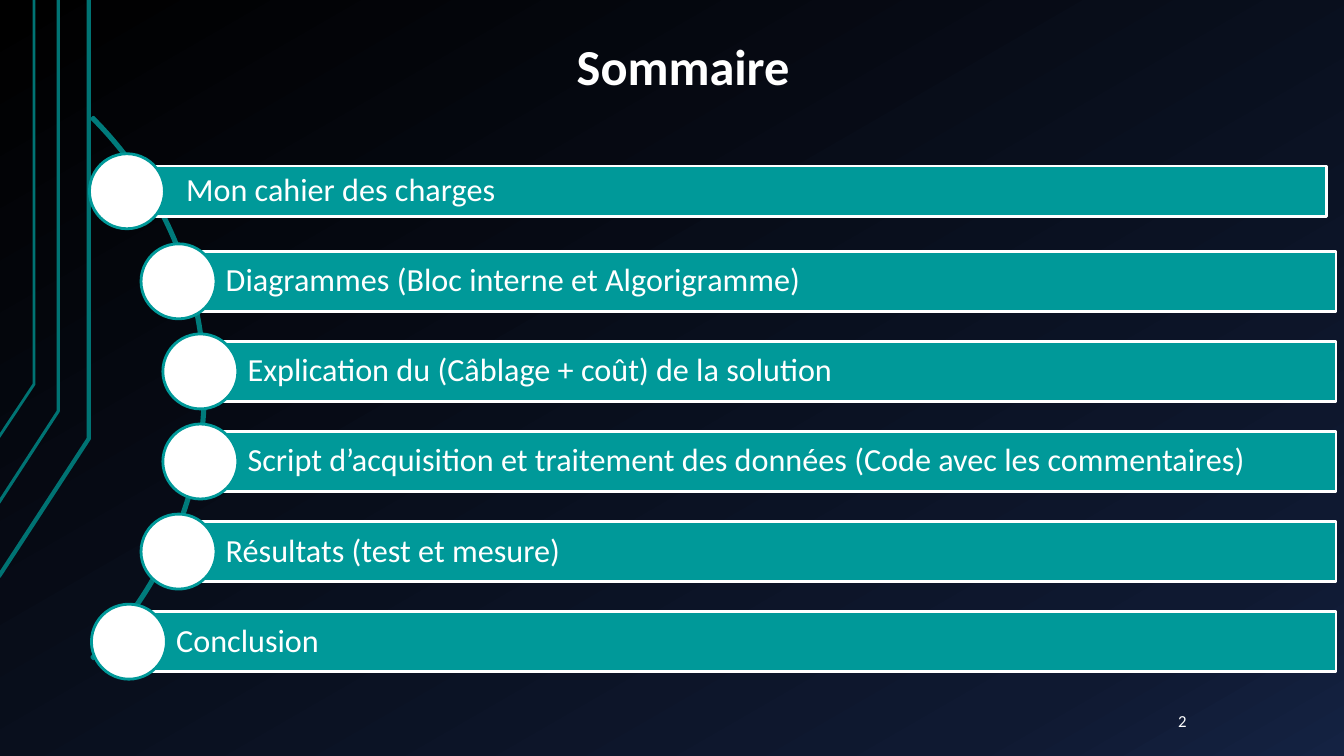
import copy

import pptx
import pptx.dml.color
import pptx.enum.shapes
import pptx.enum.text
import pptx.util

Cm, Pt = pptx.util.Cm, pptx.util.Pt
RGBColor = pptx.dml.color.RGBColor
MSO_SHAPE = pptx.enum.shapes.MSO_SHAPE
MSO_ANCHOR = pptx.enum.text.MSO_ANCHOR
PP_ALIGN = pptx.enum.text.PP_ALIGN

WHITE = RGBColor(0xFF, 0xFF, 0xFF)
TEAL = RGBColor(0x00, 0x99, 0x99)
ARC_TEAL = RGBColor(0x00, 0x7B, 0x7B)
TRACE_TEAL = RGBColor(0x00, 0x73, 0x73)
BACKGROUND = [(0, RGBColor(0, 0, 0)),
              (0.85, RGBColor(0x0F, 0x19, 0x31)),
              (1, RGBColor(0x14, 0x22, 0x42))]

# Circuit traces: x, bottom y at the slide edge, y of the bend, line width
TRACES = [(2.24, 14.53, 11.05, 3), (1.47, 12.67, 10.36, 2.25), (0.86, 11.02, 9.68, 2)]

# Chapters: text, disc centre x, bar left, bar right, bar height
RIGHT, BAR_H = 33.67, 1.51
CHAPTERS = [
    ("Mon cahier des charges", 3.2, 3.5, 33.43, 1.27),
    ("Diagrammes (Bloc interne et Algorigramme)", 4.5, 4.5, RIGHT, BAR_H),
    ("Explication du (Câblage + coût) de la solution", 5.05, 5.05, RIGHT, BAR_H),
    ("Script d’acquisition et traitement des données (Code avec les commentaires)",
     5.05, 5.05, RIGHT, BAR_H),
    ("Résultats (test et mesure)", 4.5, 4.5, RIGHT, BAR_H),
    ("Conclusion", 3.25, 3.25, RIGHT, BAR_H),
]
FIRST_Y, PITCH, DISC = 4.82, 2.27, 1.89


class Deck:
    """Holds the text style and the current slide; lengths are in centimetres."""

    font = "Calibri"
    color = WHITE

    def __init__(self, prs):
        self.s = prs.slides.add_slide(prs.slide_layouts[5])

    def background(self, stops, angle):
        fill = self.s.background.fill
        fill.gradient()
        fill.gradient_angle = angle
        gs_list = fill.gradient_stops[0]._gs.getparent()
        while len(gs_list) < len(stops):
            gs_list.append(copy.deepcopy(gs_list[0]))
        for stop, (position, color) in zip(fill.gradient_stops, stops):
            stop.position = position
            stop.color.rgb = color

    def set_text(self, sp, text, size, align=PP_ALIGN.LEFT, anchor=MSO_ANCHOR.MIDDLE,
                 bold=False, insets=(0.33, 0.18, 0.33, 0.18), spacing=0.9):
        tf = sp.text_frame
        tf.word_wrap = True
        tf.auto_size = pptx.enum.text.MSO_AUTO_SIZE.NONE
        tf.vertical_anchor = anchor
        tf.margin_left, tf.margin_top, tf.margin_right, tf.margin_bottom = map(Cm, insets)
        p = tf.paragraphs[0]
        p.text = text
        p.alignment = align
        p.line_spacing = spacing
        p.font.name = self.font
        p.font.size = Pt(size)
        p.font.bold = bold
        p.font.color.rgb = self.color

    def title(self, text, x, y, w, h):
        sp = self.s.shapes.title
        sp.left, sp.top, sp.width, sp.height = map(Cm, (x, y, w, h))
        self.set_text(sp, text, 36, PP_ALIGN.CENTER, MSO_ANCHOR.BOTTOM, bold=True)

    def label(self, text, x, y, w, h, size):
        sp = self.s.shapes.add_textbox(*map(Cm, (x, y, w, h)))
        self.set_text(sp, text, size, spacing=1.0)

    def style(self, sp, fill, line, width):
        sp.shadow.inherit = False
        if fill is None:
            sp.fill.background()
        else:
            sp.fill.solid()
            sp.fill.fore_color.rgb = fill
        sp.line.color.rgb = line
        sp.line.width = Pt(width)

    def shape(self, kind, x, y, w, h, fill, line):
        sp = self.s.shapes.add_shape(kind, *map(Cm, (x, y, w, h)))
        self.style(sp, fill, line, 2)
        return sp

    def trace(self, points, width):
        start, *rest = [(Cm(x), Cm(y)) for x, y in points]
        builder = self.s.shapes.build_freeform(*start)
        builder.add_line_segments(rest, close=False)
        self.style(builder.convert_to_shape(), None, TRACE_TEAL, width)

    def arc(self, x, y, size):
        sp = self.shape(MSO_SHAPE.BLOCK_ARC, x, y, size, size, None, ARC_TEAL)
        for i, value in enumerate((189, 27, 0.003)):
            sp.adjustments[i] = value

    def chapter(self, text, center_x, center_y, left, right, height):
        """Draw a bar with its text and the disc on its left end."""
        bar = self.shape(MSO_SHAPE.RECTANGLE, left, center_y - height / 2,
                         right - left, height, TEAL, WHITE)
        self.set_text(bar, text, 23, insets=(1.19, 0.15, 0.15, 0.15))
        self.shape(MSO_SHAPE.OVAL, center_x - DISC / 2, center_y - DISC / 2,
                   DISC, DISC, WHITE, TEAL)


def main():
    prs = pptx.Presentation()
    prs.slide_width, prs.slide_height = Cm(33.87), Cm(19.05)
    deck = Deck(prs)
    deck.background(BACKGROUND, 300)
    for x, bottom, bend, width in TRACES:
        deck.trace([(-0.03, bottom), (x, bend), (x, 0)], width)
    deck.title("Sommaire ", 2.97, 0.38, 28.78, 2.24)
    deck.arc(-14.12, 0.13, 19.3)
    for i, (text, center_x, left, right, height) in enumerate(CHAPTERS):
        deck.chapter(text, center_x, FIRST_Y + i * PITCH, left, right, height)
    deck.label("2", 29.36, 17.65, 2.82, 1.02, 12)
    prs.save("out.pptx")


if __name__ == "__main__":
    main()
